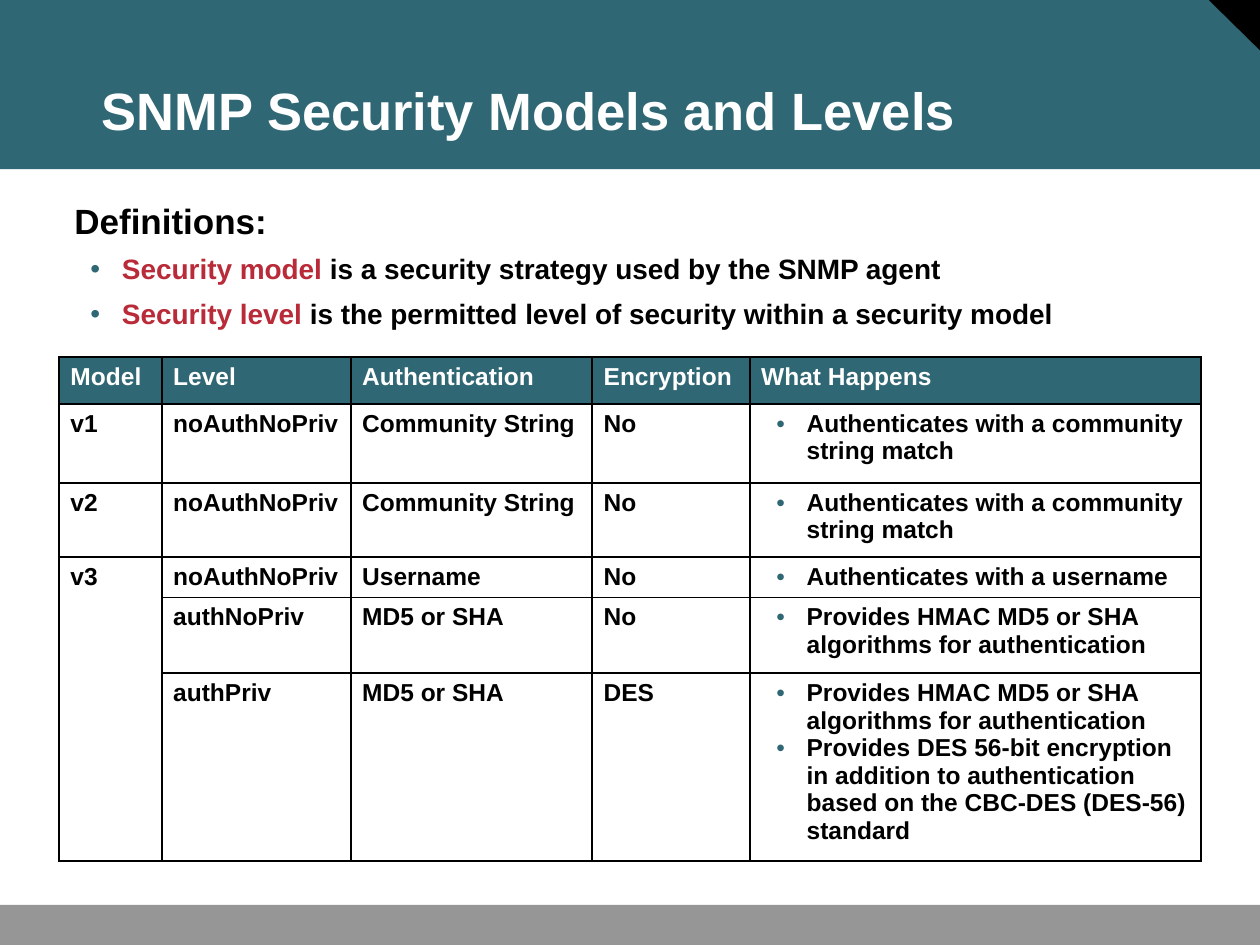
from lxml.etree import SubElement, fromstring
from pptx import Presentation
from pptx.dml.color import RGBColor
from pptx.enum.shapes import MSO_SHAPE
from pptx.enum.text import MSO_ANCHOR, MSO_AUTO_SIZE, PP_ALIGN
from pptx.oxml.ns import nsdecls, qn
from pptx.util import Pt

# Content
TITLE = "SNMP Security Models and Levels"
HEADING = "Definitions:"
DEFINITIONS = [
    ("Security model", " is a security strategy used by the SNMP agent"),
    ("Security level", " is the permitted level of security within a security model"),
]
HEADERS = ["Model", "Level", "Authentication", "Encryption", "What Happens"]
COMMUNITY = "Authenticates with a community string match"
HMAC = "Provides HMAC MD5 or SHA algorithms for authentication"
DES = ("Provides DES 56-bit encryption in addition to authentication "
       "based on the CBC-DES (DES-56) standard")
# The last column holds a list of bullets
LEVELS = [
    ("v1", "noAuthNoPriv", "Community String", "No", [COMMUNITY]),
    ("v2", "noAuthNoPriv", "Community String", "No", [COMMUNITY]),
    ("v3", "noAuthNoPriv", "Username", "No", ["Authenticates with a username"]),
    ("", "authNoPriv", "MD5 or SHA", "No", [HMAC]),
    ("", "authPriv", "MD5 or SHA", "DES", [HMAC, DES]),
]

# Style and measures, in points
COLORS = {"teal": "306774", "gray": "969696", "black": "000000",
          "white": "FFFFFF", "red": "B92B38"}
FONT = "Arial"
WIDTH, HEIGHT = 720, 540
HEADER_HEIGHT, FOOTER_TOP, CORNER = 96.7, 517, 30
TABLE_LEFT, TABLE_TOP = 33.8, 204
COLUMN_WIDTHS = [58.7, 108, 138, 90, 258]
ROW_HEIGHTS = [26.9, 45.1, 42.3, 23.1, 43.4, 107.4]
BORDER = 1.08
INSET_X, INSET_Y = 6.5, 3.4


def color(name):
    return RGBColor.from_string(COLORS[name])


def style_runs(paragraph, size, *names):
    for run, name in zip(paragraph.runs, names):
        run.font.name, run.font.size, run.font.bold = FONT, Pt(size), True
        run.font.color.rgb = color(name)


def set_bullet(paragraph, margin=0, hang=0):
    """Give a teal bullet, or none when there is no hanging indent."""
    pPr = paragraph._p.get_or_add_pPr()
    pPr.set("marL", str(Pt(margin)))
    pPr.set("indent", str(-Pt(hang)))
    if not hang:
        SubElement(pPr, qn("a:buNone"))
        return
    bullet_color = SubElement(pPr, qn("a:buClr"))
    SubElement(bullet_color, qn("a:srgbClr")).set("val", COLORS["teal"])
    SubElement(pPr, qn("a:buFont")).set("typeface", FONT)
    SubElement(pPr, qn("a:buChar")).set("char", "•")


def place(shape, left, top, width, height):
    shape.left, shape.top = Pt(left), Pt(top)
    shape.width, shape.height = Pt(width), Pt(height)
    frame = shape.text_frame
    frame.word_wrap, frame.auto_size = True, MSO_AUTO_SIZE.NONE
    frame.margin_left = frame.margin_right = Pt(INSET_X)
    frame.margin_top = frame.margin_bottom = Pt(3.2)
    return frame


def add_borders(cell):
    tcPr = cell._tc.get_or_add_tcPr()
    for position, side in enumerate(("lnL", "lnR", "lnT", "lnB")):
        tcPr.insert(position, fromstring(
            f'<a:{side} {nsdecls("a")} w="{Pt(BORDER)}"><a:solidFill>'
            f'<a:srgbClr val="{COLORS["black"]}"/></a:solidFill></a:{side}>'))


def fill_cell(cell, content, fill, ink):
    bulleted = isinstance(content, list)
    cell.margin_left = cell.margin_right = Pt(INSET_X)
    cell.margin_top = cell.margin_bottom = Pt(INSET_Y)
    cell.vertical_anchor = MSO_ANCHOR.TOP
    cell.fill.solid()
    cell.fill.fore_color.rgb = color(fill)
    add_borders(cell)
    cell.text_frame.text = "\n".join(content) if bulleted else content
    for paragraph in cell.text_frame.paragraphs:
        if bulleted:
            paragraph.level = 1
            set_bullet(paragraph, 26, 17.3)
        style_runs(paragraph, 14, ink)


deck = Presentation()
deck.slide_width, deck.slide_height = Pt(WIDTH), Pt(HEIGHT)
slide = deck.slides.add_slide(deck.slide_layouts[1])

# Bands and corner, behind everything else
BACKDROP = [
    (MSO_SHAPE.RECTANGLE, 0, 0, WIDTH, HEADER_HEIGHT, 0, "teal"),
    (MSO_SHAPE.RIGHT_TRIANGLE, WIDTH - CORNER, -0.7, CORNER, 29.5, 180, "black"),
    (MSO_SHAPE.RECTANGLE, 0, FOOTER_TOP, WIDTH, HEIGHT - FOOTER_TOP, 0, "gray"),
]
for layer, (kind, left, top, width, height, turn, fill) in enumerate(BACKDROP, 2):
    band = slide.shapes.add_shape(kind, Pt(left), Pt(top), Pt(width), Pt(height))
    band.rotation = turn
    band.shadow.inherit = False
    band.fill.solid()
    band.fill.fore_color.rgb = color(fill)
    band.line.fill.background()
    slide.shapes._spTree.insert(layer, band._element)

# Title
title = place(slide.shapes.title, 51.8, 18, 641.5, 66.2)
title.vertical_anchor = MSO_ANCHOR.BOTTOM
title.text = TITLE
title.paragraphs[0].alignment = PP_ALIGN.LEFT
title.paragraphs[0].line_spacing = 0.9
style_runs(title.paragraphs[0], 30, "white")

# Definitions
definitions = place(slide.placeholders[1], 36, 112.3, 642.2, 79.9)
definitions.vertical_anchor = MSO_ANCHOR.TOP
heading = definitions.paragraphs[0]
heading.text = HEADING
set_bullet(heading)
heading.line_spacing, heading.space_before = 0.95, Pt(0)
style_runs(heading, 20, "black")
for term, meaning in DEFINITIONS:
    definition = definitions.add_paragraph()
    definition.level = 1
    set_bullet(definition, 27.2, 18)
    definition.line_spacing, definition.space_before = 0.95, Pt(7)
    for part in (term, meaning):
        definition.add_run().text = part
    style_runs(definition, 16, "red", "black")

# Table of models and levels
table = slide.shapes.add_table(
    len(ROW_HEIGHTS), len(COLUMN_WIDTHS), Pt(TABLE_LEFT), Pt(TABLE_TOP),
    Pt(sum(COLUMN_WIDTHS)), Pt(sum(ROW_HEIGHTS))).table
table.horz_banding = False
for column, width in zip(table.columns, COLUMN_WIDTHS):
    column.width = Pt(width)
for row, height in zip(table.rows, ROW_HEIGHTS):
    row.height = Pt(height)
for r, contents in enumerate([HEADERS, *LEVELS]):
    fill, ink = ("white", "black") if r else ("teal", "white")
    for c, content in enumerate(contents):
        fill_cell(table.cell(r, c), content, fill, ink)
table.cell(3, 0).merge(table.cell(5, 0))  # v3 spans its three levels

deck.save("out.pptx")
